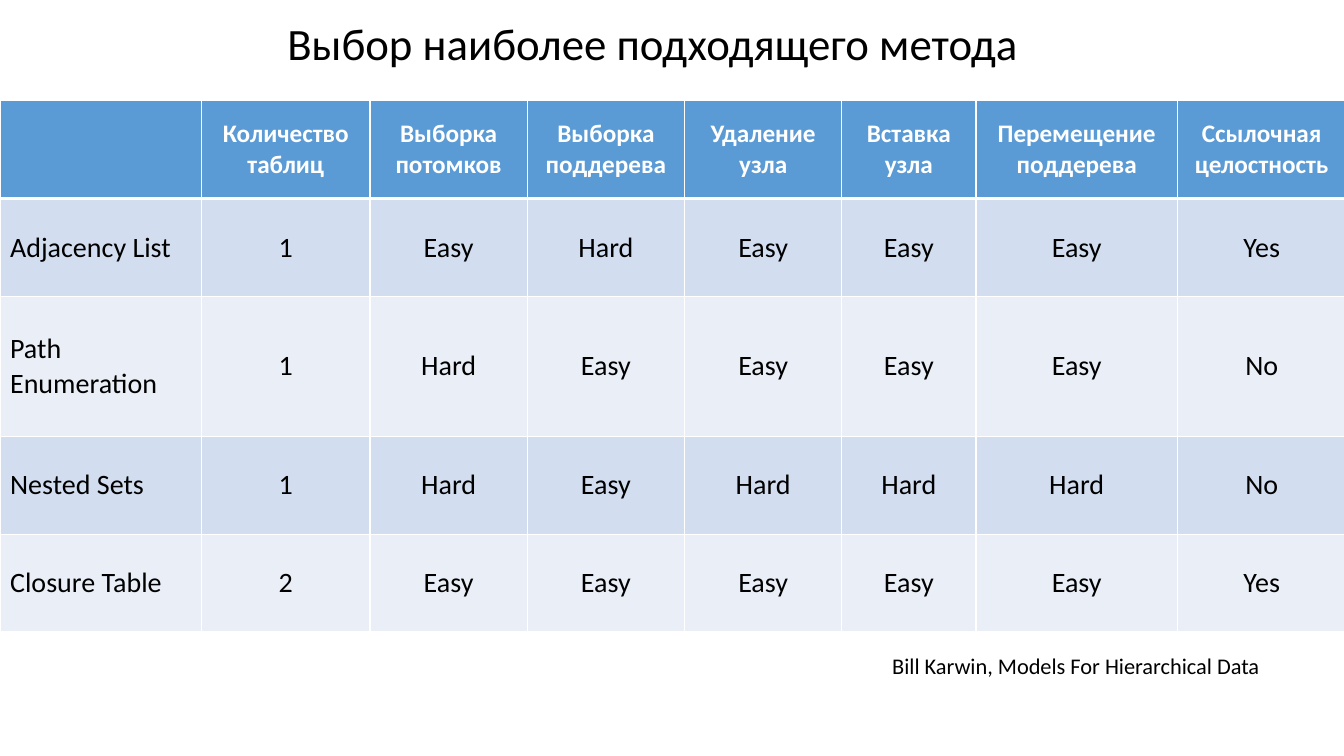
"""Build a slide comparing four ways to store hierarchical data in tables."""
from lxml.etree import SubElement
from pptx import Presentation
from pptx.dml.color import RGBColor
from pptx.enum.text import MSO_ANCHOR as Anchor, MSO_AUTO_SIZE as AutoSize, PP_ALIGN as Align
from pptx.oxml.ns import qn
from pptx.util import Inches, Pt

TITLE = "Выбор наиболее подходящего метода"
CREDIT = "Bill Karwin, Models For Hierarchical Data"
METHODS = [
    ("", "Количество таблиц", "Выборка потомков", "Выборка поддерева",
     "Удаление узла", "Вставка узла", "Перемещение поддерева", "Ссылочная целостность"),
    ("Adjacency List", "1", "Easy", "Hard", "Easy", "Easy", "Easy", "Yes"),
    ("Path Enumeration", "1", "Hard", "Easy", "Easy", "Easy", "Easy", "No"),
    ("Nested Sets", "1", "Hard", "Easy", "Hard", "Hard", "Hard", "No"),
    ("Closure Table", "2", "Easy", "Easy", "Easy", "Easy", "Easy", "Yes"),
]
COLUMN_WIDTHS = (2, 1.67, 1.56, 1.56, 1.56, 1.33, 2, 1.67)
ROW_HEIGHTS = (0.97, 0.97, 1.39, 0.97, 0.97)
COLORS = {"text": "000000", "white": "FFFFFF", "header": "5B9BD5",
          "odd": "D2DEEF", "even": "EAEFF7"}

TITLE_FORMAT = {"size": Pt(32), "bold": False, "name": "Calibri"}
HEADER_FORMAT = {"size": Pt(18), "bold": True, "name": "Calibri"}
BODY_FORMAT = {"size": Pt(20), "bold": False, "name": "Calibri"}
CREDIT_FORMAT = {"size": Pt(16), "bold": False, "name": "Calibri"}


def write(frame, text, font_format, color, align=Align.LEFT):
    """Put formatted text in a text frame."""
    frame.text = text
    paragraph = frame.paragraphs[0]
    paragraph.alignment = align
    for attribute, value in font_format.items():
        setattr(paragraph.font, attribute, value)
    paragraph.font.color.rgb = RGBColor.from_string(COLORS[color])
    return paragraph


def add_borders(cell, widths):
    """Draw white cell borders with the given widths in points."""
    properties = cell._tc.get_or_add_tcPr()
    for side, width in widths.items():
        border = SubElement(properties, qn(f"a:ln{side}"), w=str(Pt(width)))
        SubElement(SubElement(border, qn("a:solidFill")), qn("a:srgbClr"), val=COLORS["white"])


def add_title(slide):
    """Fill and place the title."""
    title = slide.shapes.title
    place = {"left": 2.75, "top": 0.17, "width": 8.5, "height": 0.67}
    for attribute, value in place.items():
        setattr(title, attribute, Inches(value))
    frame = title.text_frame
    write(frame, TITLE, TITLE_FORMAT, "text").line_spacing = 0.9
    frame.auto_size = AutoSize.NONE
    frame.vertical_anchor = Anchor.TOP


def add_methods(slide):
    """Add the comparison table."""
    table = slide.shapes.add_table(
        len(METHODS), len(COLUMN_WIDTHS), 0, Inches(1),
        Inches(13.33), Inches(sum(ROW_HEIGHTS))).table
    for column, width in zip(table.columns, COLUMN_WIDTHS):
        column.width = Inches(width)
    for row, height in zip(table.rows, ROW_HEIGHTS):
        row.height = Inches(height)
    for r, method in enumerate(METHODS):
        is_header = r == 0
        band = "header" if is_header else "odd" if r % 2 else "even"
        for c, text in enumerate(method):
            cell = table.cell(r, c)
            cell.vertical_anchor = Anchor.MIDDLE
            add_borders(cell, {"L": 1, "R": 1, "T": 3 if r == 1 else 1, "B": 3 if is_header else 1})
            cell.fill.solid()
            cell.fill.fore_color.rgb = RGBColor.from_string(COLORS[band])
            write(cell.text_frame, text, HEADER_FORMAT if is_header else BODY_FORMAT,
                  "white" if is_header else "text", Align.CENTER if c else Align.LEFT)


def add_credit(slide):
    """Add the source line below the table."""
    credit = slide.shapes.add_textbox(Inches(8.75), Inches(6.42), Inches(3.88), Inches(0.42))
    credit.text_frame.word_wrap = True
    write(credit.text_frame, CREDIT, CREDIT_FORMAT, "text")


def main():
    """Build and save the presentation."""
    deck = Presentation()
    deck.slide_width, deck.slide_height = Inches(13.33), Inches(7.5)
    slide = deck.slides.add_slide(deck.slide_layouts.get_by_name("Title Only"))
    add_title(slide)
    add_methods(slide)
    add_credit(slide)
    deck.save("out.pptx")


if __name__ == "__main__":
    main()
